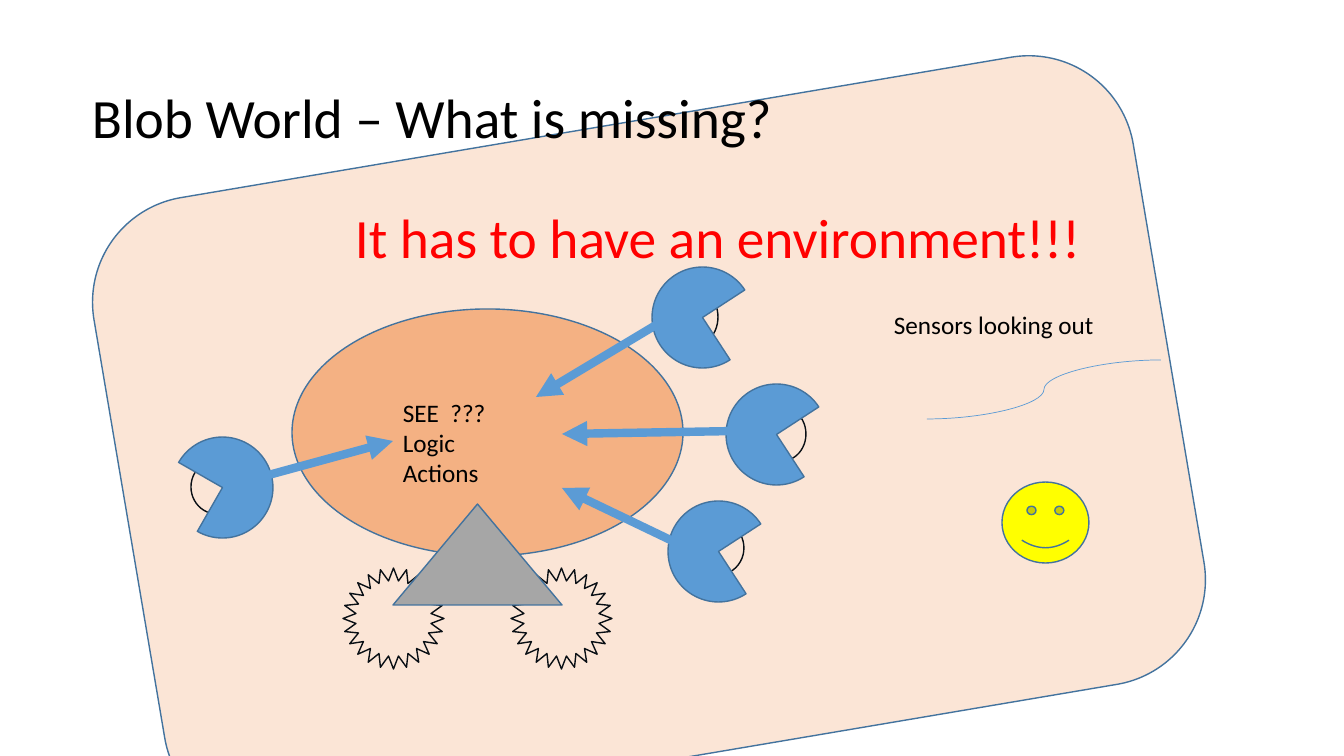
from lxml.etree import SubElement
from pptx import Presentation
from pptx.dml.color import RGBColor
from pptx.enum.shapes import MSO_CONNECTOR, MSO_SHAPE
from pptx.enum.text import MSO_ANCHOR
from pptx.oxml.ns import qn
from pptx.util import Pt

EMU_PER_PX = 914400 / 100.8
COLORS = {
    "environment": "FBE5D6", "body": "F4B183", "blue": "5B9BD5", "edge": "43739E",
    "ink": "090F15", "smiley": "FFFF00", "gray": "A6A6A6", "black": "000000", "red": "FF0000",
}
SENSORS = [
    ((692, 521, 52, 54), (668, 501), 56.9),
    ((758, 407, 48, 54), (726, 384), 56.9),
    ((677, 290, 41, 54), (652, 267), 56.9),
    ((191, 460, 52, 54), (172, 437), 209.8),
]
SIGNALS = [
    ((243, 482), (393, 441)),
    ((683, 546), (562, 488)),
    ((737, 431), (562, 434)),
    ((661, 322), (536, 397)),
]
SENSOR_SIZE = WHEEL_SIZE = 101
WHEEL_LEFTS = (343, 511)


def px(*lengths):
    """Turn pixel lengths into EMU."""
    return [round(length * EMU_PER_PX) for length in lengths]


def color(name):
    """Look up a named colour."""
    return RGBColor.from_string(COLORS[name])


def add_figure(page, kind, bounds, fill=None, line="edge", rotation=0):
    """Add a preset shape, hollow when no fill is given."""
    shape = page.shapes.add_shape(kind, *px(*bounds))
    shape.shadow.inherit = False
    shape.rotation = rotation
    if fill:
        shape.fill.solid()
        shape.fill.fore_color.rgb = color(fill)
    else:
        shape.fill.background()
    shape.line.color.rgb = color(line)
    shape.line.width = Pt(1)


def add_line(page, kind, start, end, width, arrow=False):
    """Add a blue connector, with an arrowhead at its end if asked."""
    connector = page.shapes.add_connector(kind, *px(*start, *end))
    connector.line.color.rgb = color("blue")
    connector.line.width = Pt(width)
    if arrow:
        SubElement(connector.line._get_or_add_ln(), qn("a:tailEnd"), type="triangle")
    SubElement(connector._element.spPr, qn("a:effectLst"))


def add_text(page, bounds, lines, size):
    """Add a wrapped text box with one paragraph per line."""
    box = page.shapes.add_textbox(*px(*bounds))
    frame = box.text_frame
    frame.word_wrap = True
    frame.text = "\n".join(lines)
    for para in frame.paragraphs:
        for span in para.runs:
            span.font.name = "Calibri"
            span.font.size = Pt(size)
            span.font.color.rgb = color("black")
    return frame


def add_title(page):
    """Add the title and its indented red answer."""
    lines = ["Blob World – What is missing?", "It has to have an environment!!!"]
    frame = add_text(page, (82, 108, 1159, 146), lines, 39.6)
    frame.vertical_anchor = MSO_ANCHOR.MIDDLE
    for para in frame.paragraphs:
        para.line_spacing = 0.9
    answer = frame.paragraphs[1]
    answer.space_before = Pt(43)
    answer._p.get_or_add_pPr().set("marL", str(px(263)[0]))
    answer.runs[0].font.color.rgb = color("red")


def add_sensors(page):
    """Add the pie-shaped sensors, each over its lens."""
    for lens, corner, rotation in SENSORS:
        add_figure(page, MSO_SHAPE.OVAL, lens, line="ink")
        bounds = (*corner, SENSOR_SIZE, SENSOR_SIZE)
        add_figure(page, MSO_SHAPE.PIE, bounds, "blue", rotation=rotation)


def add_wheels(page):
    """Add the toothed wheels and the stand that joins them."""
    for left in WHEEL_LEFTS:
        bounds = (left, 568, WHEEL_SIZE, WHEEL_SIZE)
        add_figure(page, MSO_SHAPE.STAR_24_POINT, bounds, line="ink")
    add_figure(page, MSO_SHAPE.ISOSCELES_TRIANGLE, (393, 504, 169, 101), "gray")


def main():
    """Build the blob world slide."""
    deck = Presentation()
    deck.slide_width, deck.slide_height = px(1344, 756)
    page = deck.slides.add_slide(deck.slide_layouts[6])
    add_figure(page, MSO_SHAPE.FLOWCHART_ALTERNATE_PROCESS, (122, 123, 1054, 636),
               "environment", rotation=350.4)
    add_title(page)
    add_figure(page, MSO_SHAPE.OVAL, (292, 309, 391, 247), "body")
    add_sensors(page)
    for start, end in SIGNALS:
        add_line(page, MSO_CONNECTOR.STRAIGHT, start, end, 6, arrow=True)
    add_text(page, (884, 304, 319, 40), ["Sensors looking out"], 18)
    add_figure(page, MSO_SHAPE.SMILEY_FACE, (1002, 482, 87, 81), "smiley")
    add_line(page, MSO_CONNECTOR.CURVE, (927, 419), (1161, 360), 0.5)
    add_wheels(page)
    add_text(page, (393, 392, 142, 102), ["SEE  ???", "Logic", "Actions"], 18)
    deck.save("out.pptx")


if __name__ == "__main__":
    main()
